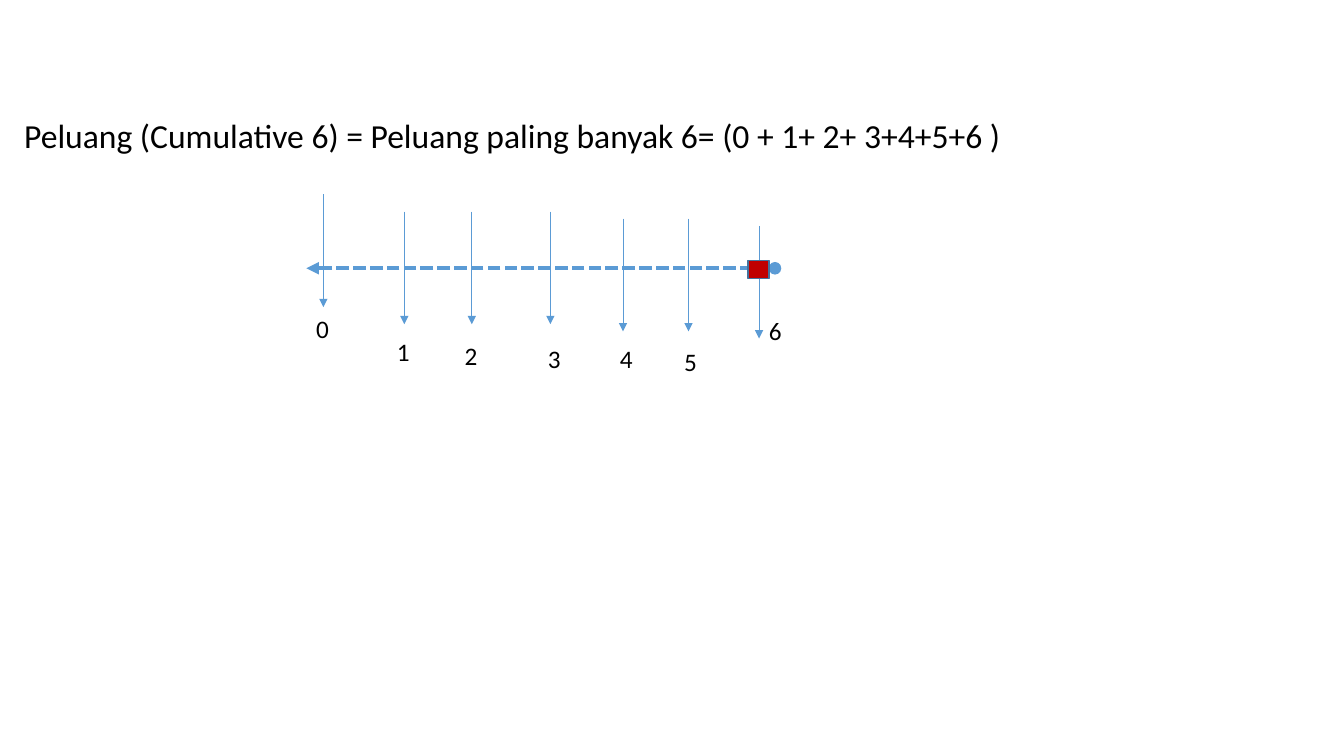
import pptx
import pptx.dml.color
import pptx.enum.dml
import pptx.enum.shapes
import pptx.enum.text
import pptx.oxml.ns
import pptx.util
from lxml import etree
from pptx.util import Cm

COLORS = {"text": "000000", "arrow": "5B9BD5", "marker": "C00000", "marker_edge": "43739E"}
ARROW_LENGTH = 2.84
AXIS_Y = 6.76
OUTCOMES = [
    (8.15, 4.9, 7.72, 7.77),
    (10.19, 5.33, 9.75, 8.36),
    (11.89, 5.33, 11.46, 8.46),
    (13.87, 5.33, 13.56, 8.53),
    (15.7, 5.51, 15.37, 8.53),
    (17.35, 5.51, 16.99, 8.61),
    (19.13, 5.69, 19.13, 7.82),
]


def rgb(name):
    return pptx.dml.color.RGBColor.from_string(COLORS[name])


def add_text(slide, text, left, top, width, height, size, wrap):
    frame = slide.shapes.add_textbox(Cm(left), Cm(top), Cm(width), Cm(height)).text_frame
    frame.word_wrap = wrap
    frame.auto_size = pptx.enum.text.MSO_AUTO_SIZE.SHAPE_TO_FIT_TEXT
    frame.text = text
    font = frame.paragraphs[0].runs[0].font
    font.name = "Calibri"
    font.size = pptx.util.Pt(size)
    font.color.rgb = rgb("text")


def add_arrow(slide, start, end, weight, dash=None, head=None):
    arrow = slide.shapes.add_connector(
        pptx.enum.shapes.MSO_CONNECTOR.STRAIGHT,
        Cm(start[0]), Cm(start[1]), Cm(end[0]), Cm(end[1]),
    )
    arrow.line.color.rgb = rgb("arrow")
    arrow.line.width = pptx.util.Pt(weight)
    if dash:
        arrow.line.dash_style = dash
    outline = arrow.line._get_or_add_ln()
    if head:
        etree.SubElement(outline, pptx.oxml.ns.qn("a:headEnd"), type=head)
    etree.SubElement(outline, pptx.oxml.ns.qn("a:tailEnd"), type="triangle")
    etree.SubElement(arrow._element.spPr, pptx.oxml.ns.qn("a:effectLst"))


def add_marker(slide, left, top, width, height):
    marker = slide.shapes.add_shape(
        pptx.enum.shapes.MSO_SHAPE.RECTANGLE, Cm(left), Cm(top), Cm(width), Cm(height)
    )
    marker.shadow.inherit = False
    marker.fill.solid()
    marker.fill.fore_color.rgb = rgb("marker")
    marker.line.color.rgb = rgb("marker_edge")
    marker.line.width = pptx.util.Pt(1)


def main():
    deck = pptx.Presentation()
    deck.slide_width, deck.slide_height = Cm(33.87), Cm(19.05)
    slide = deck.slides.add_slide(deck.slide_layouts[6])

    formula = "Peluang (Cumulative 6) = Peluang paling banyak 6= (0 + 1+ 2+ 3+4+5+6 )"
    add_text(slide, formula, 0.36, 2.77, 26.97, 1.28, 24, True)
    add_arrow(slide, (19.53, AXIS_Y), (7.72, AXIS_Y), 3,
              pptx.enum.dml.MSO_LINE.SQUARE_DOT, "oval")
    for outcome, (x, top, label_left, label_top) in enumerate(OUTCOMES):
        add_arrow(slide, (x, top), (x, top + ARROW_LENGTH), 0.5)
        add_text(slide, str(outcome), label_left, label_top, 0.84, 1.03, 18, False)
    add_marker(slide, 18.85, 6.56, 0.53, 0.46)

    deck.save("out.pptx")


if __name__ == "__main__":
    main()
